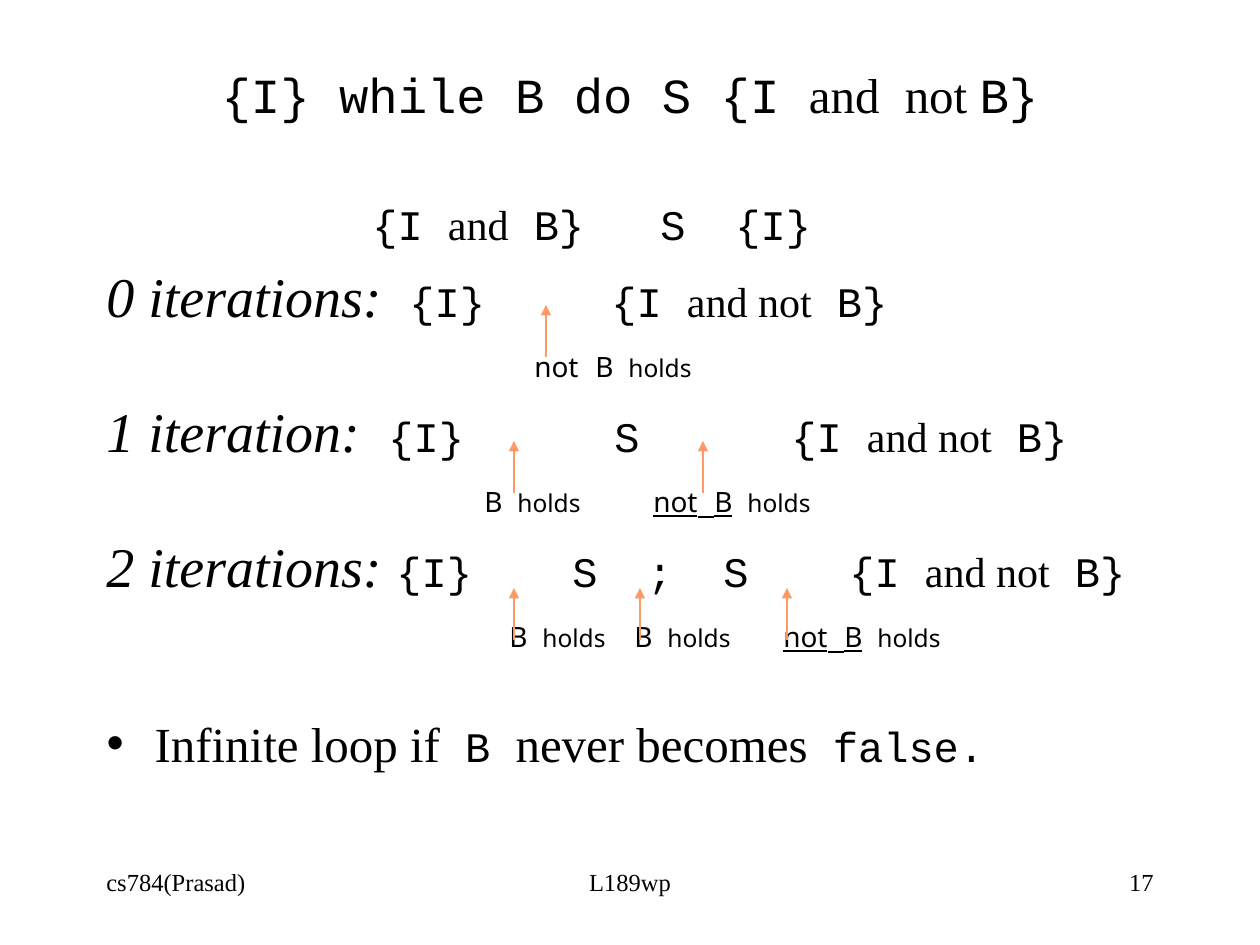
from dataclasses import dataclass
from typing import NamedTuple

from lxml.etree import SubElement
from pptx import Presentation
from pptx.dml.color import RGBColor
from pptx.enum.shapes import MSO_CONNECTOR
from pptx.enum.text import MSO_ANCHOR, MSO_AUTO_SIZE, PP_ALIGN
from pptx.oxml.ns import qn
from pptx.util import Pt

EMU_PER_PIXEL = 914400 / 126
BLACK = RGBColor(0x00, 0x00, 0x00)
ORANGE = RGBColor(0xFF, 0x99, 0x66)
SERIF, MONO, SANS = "Times New Roman", "Courier New", "Noto Sans"

FORMATS = {
    "case": {"name": SERIF, "size": Pt(32), "italic": True},
    "code": {"name": MONO, "size": Pt(24)},
    "logic": {"name": SERIF, "size": Pt(24)},
    "condition": {"name": SANS, "size": Pt(16)},
    "negated": {"name": SANS, "size": Pt(16), "underline": True},
    "negated gap": {"name": MONO, "size": Pt(16), "underline": True},
    "holds": {"name": SANS, "size": Pt(14)},
    "title code": {"name": MONO, "size": Pt(28)},
    "prose": {"name": SERIF, "size": Pt(28)},
    "footer": {"name": SERIF, "size": Pt(14)},
}


class Piece(NamedTuple):
    """A stretch of text and the key of its format."""
    text: str
    style: str


@dataclass
class TraceLine:
    """A line of the trace with tab stops in pixels and space before in points."""
    pieces: list[Piece]
    tabs: tuple[int, ...]
    before: float = 6


class Arrow(NamedTuple):
    """An upward arrow: its x and the y of its head."""
    x: int
    top: int


class Footer(NamedTuple):
    """A footer text with its left edge, width and alignment."""
    text: str
    left: int
    width: int
    align: PP_ALIGN


POSTCONDITION = [Piece("and not", "logic"), Piece(" B}", "code")]
B_HOLDS = [Piece("B\t", "condition"), Piece("holds", "holds")]
NOT_B_HOLDS = [Piece("not", "negated"), Piece(" ", "negated gap"), Piece("B", "negated"),
               Piece("\t", "condition"), Piece("holds", "holds")]
INDENT = Piece("\t", "code")
GAP = Piece("\t", "condition")

TITLE = [Piece("{I} while B do S {I ", "title code"), Piece("and", "prose"),
         Piece(" ", "code"), Piece("not ", "prose"), Piece("B}", "title code")]
TRACE = [
    TraceLine([Piece("\t", "case"), Piece("{I ", "code"), Piece("and", "logic"),
               Piece(" B}\tS\t{I}", "code")], (266, 554, 629)),
    TraceLine([Piece("0 iterations:\t", "case"), Piece("{I}\t{I ", "code"),
               *POSTCONDITION], (303, 505)),
    TraceLine([INDENT, Piece("not\t", "condition"), *B_HOLDS], (428, 489, 522), 3.5),
    TraceLine([Piece("1 iteration:\t", "case"), Piece("{I}\tS\t{I ", "code"),
               *POSTCONDITION], (282, 508, 685)),
    TraceLine([INDENT, *B_HOLDS, GAP, *NOT_B_HOLDS], (378, 411, 547, 641), 4),
    TraceLine([Piece("2 iterations:\t", "case"), Piece("{I}\tS\t;\tS\t{I ", "code"),
               *POSTCONDITION], (290, 466, 541, 617, 743)),
    TraceLine([INDENT, *B_HOLDS, GAP, *B_HOLDS, GAP, *NOT_B_HOLDS],
              (403, 436, 528, 561, 677, 771), 4),
]
REMARK = [Piece("Infinite loop if", "prose"), Piece(" B ", "code"),
          Piece("never becomes", "prose"), Piece(" false.", "code")]
REMARK_INDENT = 48
ARROW_HEIGHT = 52
ARROWS = [Arrow(546, 305), *(Arrow(x, 441) for x in (514, 703)),
          *(Arrow(x, 588) for x in (514, 640, 787))]
FOOTERS = [
    Footer("cs784(Prasad)", 94, 263, PP_ALIGN.LEFT),
    Footer("L189wp", 430, 400, PP_ALIGN.CENTER),
    Footer("17", 903, 263, PP_ALIGN.RIGHT),
]


def px(pixels: float) -> int:
    """Turn pixels into EMU."""
    return round(pixels * EMU_PER_PIXEL)


def place(shape, top: int, height: int) -> None:
    """Move and size a placeholder in the main column, in pixels."""
    for side, value in zip(("left", "top", "width", "height"), (94, top, 1072, height)):
        setattr(shape, side, px(value))
    shape.text_frame.auto_size = MSO_AUTO_SIZE.NONE


def write(paragraph, pieces: list[Piece]) -> None:
    """Add formatted runs to a paragraph."""
    for piece in pieces:
        run = paragraph.add_run()
        run.text = piece.text
        run.font.color.rgb = BLACK
        for attribute, value in FORMATS[piece.style].items():
            setattr(run.font, attribute, value)


def add_text(slide, left: int, top: int, width: int, height: int):
    """Add a wrapping text box and return its text frame."""
    box = slide.shapes.add_textbox(px(left), px(top), px(width), px(height))
    box.text_frame.word_wrap = True
    return box.text_frame


def draw_trace(slide) -> None:
    """Write the loop trace, its columns set by tab stops."""
    frame = add_text(slide, 94, 178, 1072, 529)
    for number, line in enumerate(TRACE):
        paragraph = frame.add_paragraph() if number else frame.paragraphs[0]
        stops = SubElement(paragraph._p.get_or_add_pPr(), qn("a:tabLst"))
        for stop in line.tabs:
            SubElement(stops, qn("a:tab"), pos=str(px(stop)), algn="l")
        paragraph.space_before = Pt(line.before)
        write(paragraph, line.pieces)


def write_remark(body) -> None:
    """Write the bulleted remark in the body placeholder."""
    place(body, 707, 134)
    paragraph = body.text_frame.paragraphs[0]
    properties = paragraph._p.get_or_add_pPr()
    properties.set("marL", str(px(REMARK_INDENT)))
    properties.set("indent", str(-px(REMARK_INDENT)))
    SubElement(properties, qn("a:buChar"), char="•")
    paragraph.space_before = Pt(0)
    write(paragraph, REMARK)


def draw_arrow(slide, arrow: Arrow) -> None:
    """Draw an arrow pointing up at a program point."""
    connector = slide.shapes.add_connector(
        MSO_CONNECTOR.STRAIGHT, px(arrow.x), px(arrow.top + ARROW_HEIGHT),
        px(arrow.x), px(arrow.top))
    connector.line.color.rgb = ORANGE
    connector.line.width = Pt(0.74)
    SubElement(connector.line._get_or_add_ln(), qn("a:tailEnd"), type="triangle")
    SubElement(connector._element.spPr, qn("a:effectLst"))


def draw_footer(slide, footer: Footer) -> None:
    """Add one footer text."""
    paragraph = add_text(slide, footer.left, 861, footer.width, 63).paragraphs[0]
    paragraph.alignment = footer.align
    write(paragraph, [Piece(footer.text, "footer")])


def build() -> None:
    """Build the slide and save it."""
    presentation = Presentation()
    presentation.slide_width, presentation.slide_height = px(1260), px(945)
    slide = presentation.slides.add_slide(presentation.slide_layouts[1])
    title = slide.shapes.title

    place(title, 31, 126)
    title.text_frame.vertical_anchor = MSO_ANCHOR.MIDDLE
    write(title.text_frame.paragraphs[0], TITLE)

    draw_trace(slide)
    write_remark(slide.placeholders[1])
    for arrow in ARROWS:
        draw_arrow(slide, arrow)
    for footer in FOOTERS:
        draw_footer(slide, footer)
    presentation.save("out.pptx")


build()
